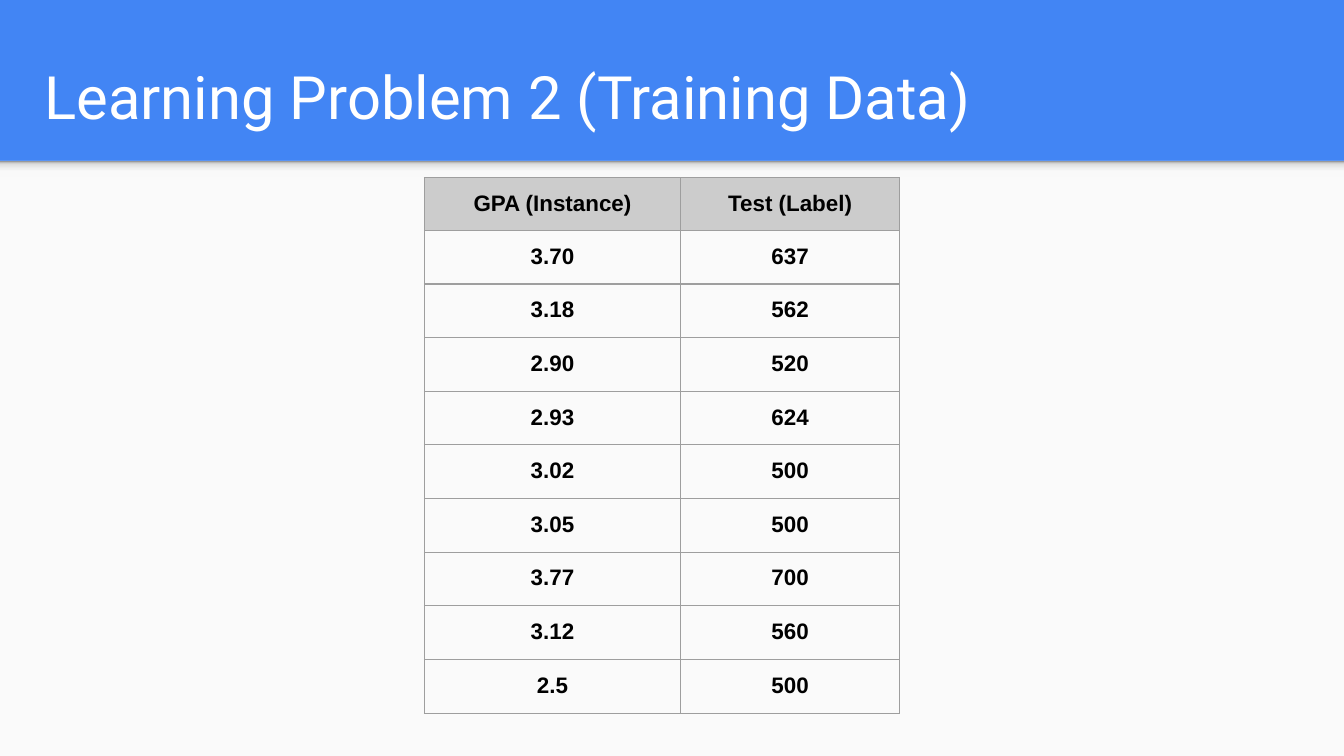
from lxml import etree
from pptx import Presentation
from pptx.dml.color import RGBColor
from pptx.enum.shapes import MSO_SHAPE
from pptx.enum.text import MSO_ANCHOR, PP_ALIGN
from pptx.oxml.ns import qn
from pptx.util import Pt

RECT = MSO_SHAPE.RECTANGLE
BOTTOM, TOP = MSO_ANCHOR.BOTTOM, MSO_ANCHOR.TOP
LEFT, CENTER = PP_ALIGN.LEFT, PP_ALIGN.CENTER

# Content
TITLE = "Learning Problem 2 (Training Data)"
HEADER = ("GPA (Instance)", "Test (Label)")
SAMPLES = [
    ("3.70", "637"),
    ("3.18", "562"),
    ("2.90", "520"),
    ("2.93", "624"),
    ("3.02", "500"),
    ("3.05", "500"),
    ("3.77", "700"),
    ("3.12", "560"),
    ("2.5", "500"),
]

THEME = {
    "banner": "4285F4", "panel": "FAFAFA", "header": "CCCCCC",
    "border": "9E9E9E", "title": "FFFFFF", "text": "000000",
    "shadow": [(0, "F9F9F9"), (36, "F9F9F9"), (80, "DEDEDE"), (100, "999999")],
    "title_font": "Roboto", "title_size": 32,
    "table_font": "Arial", "table_size": 12,
}

# Layout, in points
WIDTH, HEIGHT = 720, 405
BANNER_H, SHADOW_H = 86.2, 8.6
TITLE_BOX = (16.6, 17.3, 647.3, 60.5)
TABLE_X, TABLE_Y = 227.4, 95.2
COLUMNS = (137.2, 117.4)
HEADER_H, ROW_H = 28.2, 28.75
INSET, BORDER_W = 7.2, 0.75


def rgb(name):
    return RGBColor.from_string(THEME[name])


def style_font(p, font, size, color, bold):
    p.font.name, p.font.size, p.font.bold = font, Pt(size), bold
    p.font.color.rgb = rgb(color)


def set_insets(target):
    target.margin_left = target.margin_right = Pt(INSET)
    target.margin_top = target.margin_bottom = Pt(INSET)


def add_rect(slide, y, height):
    sp = slide.shapes.add_shape(RECT, 0, Pt(y), Pt(WIDTH), Pt(height))
    sp.shadow.inherit = False
    sp.line.fill.background()
    return sp


def set_gradient(sp, stops):
    sp.fill.gradient()
    sp.fill.gradient_angle = 90
    stop_list = sp._element.spPr.find(".//" + qn("a:gsLst"))
    for old in list(stop_list):
        stop_list.remove(old)
    for percent, color in stops:
        stop = etree.SubElement(stop_list, qn("a:gs"), pos=str(percent * 1000))
        etree.SubElement(stop, qn("a:srgbClr"), val=color)


def set_borders(cell):
    props = cell._tc.get_or_add_tcPr()
    for i, side in enumerate(("a:lnL", "a:lnR", "a:lnT", "a:lnB")):
        line = etree.Element(qn(side), w=str(Pt(BORDER_W)))
        fill = etree.SubElement(line, qn("a:solidFill"))
        etree.SubElement(fill, qn("a:srgbClr"), val=THEME["border"])
        props.insert(i, line)


def add_samples_table(slide):
    rows = [HEADER] + SAMPLES
    heights = [HEADER_H] + [ROW_H] * len(SAMPLES)
    table = slide.shapes.add_table(
        len(rows), len(COLUMNS), Pt(TABLE_X), Pt(TABLE_Y),
        Pt(sum(COLUMNS)), Pt(sum(heights))).table
    table.first_row = table.horz_banding = False
    for column, width in zip(table.columns, COLUMNS):
        column.width = Pt(width)
    for r, values in enumerate(rows):
        table.rows[r].height = Pt(heights[r])
        for c, value in enumerate(values):
            cell = table.cell(r, c)
            cell.text = value
            cell.vertical_anchor = TOP
            set_insets(cell)
            if r == 0:
                cell.fill.solid()
                cell.fill.fore_color.rgb = rgb("header")
            else:
                cell.fill.background()
            set_borders(cell)
            p = cell.text_frame.paragraphs[0]
            p.alignment = CENTER
            style_font(p, THEME["table_font"], THEME["table_size"], "text", True)


def main():
    prs = Presentation()
    prs.slide_width, prs.slide_height = Pt(WIDTH), Pt(HEIGHT)
    slide = prs.slides.add_slide(prs.slide_layouts[5])

    # Blue banner as background, light panel below it with a soft shadow
    slide.background.fill.solid()
    slide.background.fill.fore_color.rgb = rgb("banner")
    panel = add_rect(slide, BANNER_H, HEIGHT - BANNER_H)
    panel.fill.solid()
    panel.fill.fore_color.rgb = rgb("panel")
    set_gradient(add_rect(slide, BANNER_H, SHADOW_H), THEME["shadow"])

    # Title
    title = slide.shapes.title
    title.left, title.top, title.width, title.height = map(Pt, TITLE_BOX)
    tf = title.text_frame
    tf.text = TITLE
    tf.word_wrap = True
    tf.vertical_anchor = BOTTOM
    set_insets(tf)
    p = tf.paragraphs[0]
    p.alignment = LEFT
    style_font(p, THEME["title_font"], THEME["title_size"], "title", False)

    # Training data
    add_samples_table(slide)
    prs.save("out.pptx")


if __name__ == "__main__":
    main()
